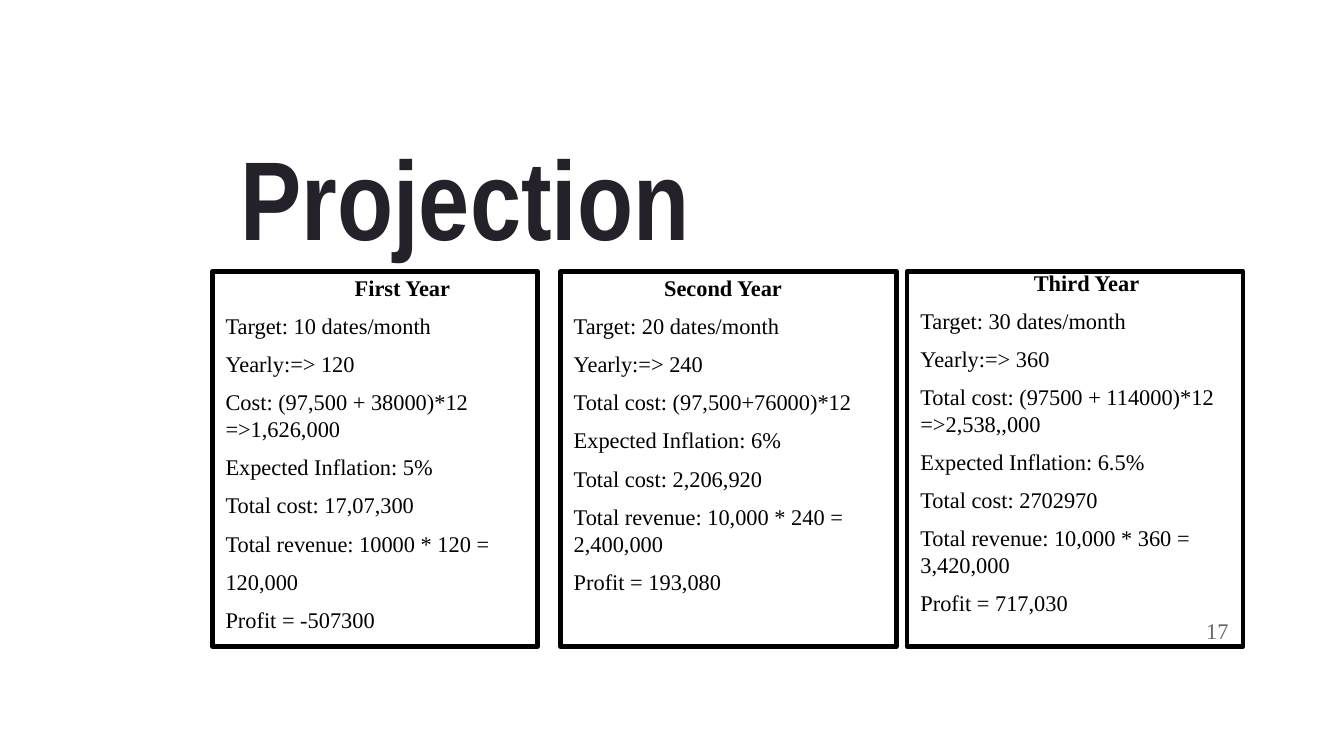
from pptx import Presentation
from pptx.dml.color import RGBColor
from pptx.enum.text import MSO_ANCHOR as ANCHOR, MSO_AUTO_SIZE as AUTO, PP_ALIGN as ALIGN
from pptx.enum.shapes import MSO_SHAPE as SHAPE
from pptx.util import Inches, Pt

COLORS = {"title": "25212A", "text": "000000", "number": "666666"}
SERIF = "Times New Roman"


def set_frame(tf, anchor):
    tf.word_wrap = True
    tf.auto_size = AUTO.NONE
    tf.vertical_anchor = anchor
    tf.margin_left = tf.margin_right = Inches(0.1)
    tf.margin_top = tf.margin_bottom = Inches(0.1)


def set_font(p, name, size, color, bold=False):
    p.font.name = name
    p.font.size = Pt(size)
    p.font.bold = bold
    p.font.color.rgb = RGBColor.from_string(COLORS[color])


# Widescreen slide, 16:9
prs = Presentation()
prs.slide_width, prs.slide_height = Inches(10), Inches(10 * 9 / 16)
s = prs.slides.add_slide(prs.slide_layouts[5])

# Title
title = s.shapes.title
title.left, title.top = Inches(1.69), Inches(0.81)
title.width, title.height = Inches(6.64), Inches(1.25)
set_frame(title.text_frame, ANCHOR.BOTTOM)
p = title.text_frame.paragraphs[0]
p.text = "Projection"
p.alignment = ALIGN.LEFT
set_font(p, "Arial Narrow", 60, "title", bold=True)

# Yearly columns: left, frame width, text top, text width, lines
years = [
    (1.58, 2.42, 1.94, 2.83, [
        "First Year", "Target: 10 dates/month", "Yearly:=> 120",
        "Cost: (97,500 + 38000)*12 =>1,626,000", "Expected Inflation: 5%",
        "Total cost: 17,07,300", "Total revenue: 10000 * 120 =", "120,000",
        "Profit = -507300"]),
    (4.17, 2.5, 1.94, 2.42, [
        "Second Year", "Target: 20 dates/month", "Yearly:=> 240",
        "Total cost: (97,500+76000)*12", "Expected Inflation: 6%",
        "Total cost: 2,206,920", "Total revenue: 10,000 * 240 = 2,400,000",
        "Profit = 193,080"]),
    (6.75, 2.5, 1.9, 2.67, [
        "Third Year", "Target: 30 dates/month", "Yearly:=> 360",
        "Total cost: (97500 + 114000)*12 =>2,538,,000", "Expected Inflation: 6.5%",
        "Total cost: 2702970", "Total revenue: 10,000 * 360 = 3,420,000",
        "Profit = 717,030"]),
]
for left, frame_width, top, text_width, lines in years:
    # Frame
    sp = s.shapes.add_shape(SHAPE.RECTANGLE, Inches(left), Inches(2.02),
                            Inches(frame_width), Inches(2.79))
    sp.shadow.inherit = False
    sp.fill.background()
    sp.line.color.rgb = RGBColor.from_string(COLORS["text"])
    sp.line.width = Pt(2.5)

    # Heading and figures
    tf = s.shapes.add_textbox(Inches(left), Inches(top),
                              Inches(text_width), Inches(2.79)).text_frame
    set_frame(tf, ANCHOR.TOP)
    for i, line in enumerate(lines):
        p = tf.add_paragraph() if i else tf.paragraphs[0]
        p.text = line
        p.alignment = ALIGN.LEFT if i else ALIGN.CENTER
        p.space_before = Pt(6 if i else 0)
        set_font(p, SERIF, 12, "text", bold=i == 0)

# Slide number
tf = s.shapes.add_textbox(Inches(8.64), Inches(4.48), Inches(0.6), Inches(0.43)).text_frame
set_frame(tf, ANCHOR.MIDDLE)
p = tf.paragraphs[0]
p.text = "17"
p.alignment = ALIGN.RIGHT
set_font(p, SERIF, 12, "number")

prs.save("out.pptx")
